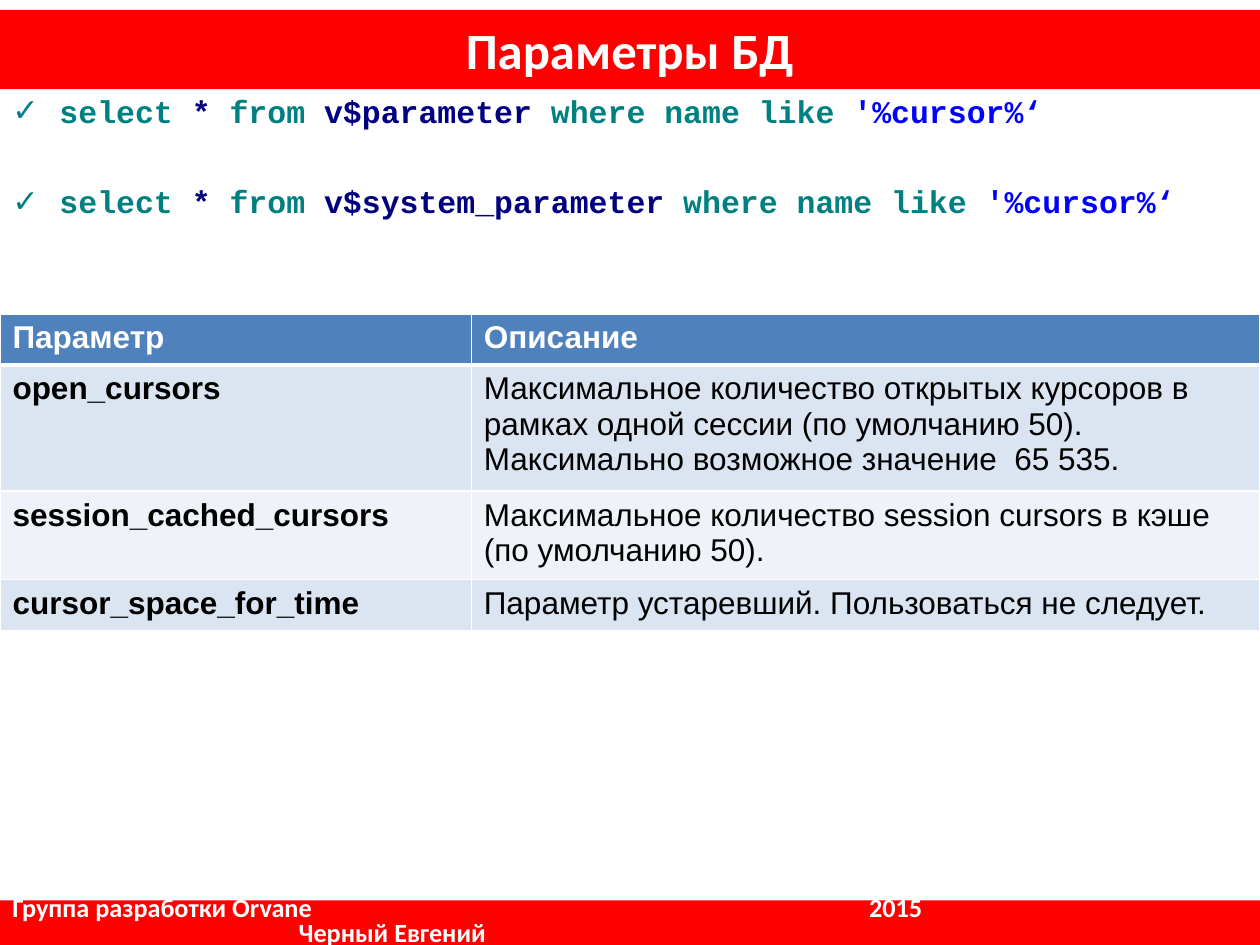
from lxml.etree import SubElement
from pptx import Presentation
from pptx.dml.color import RGBColor
from pptx.enum.shapes import MSO_SHAPE
from pptx.enum.text import MSO_ANCHOR, MSO_AUTO_SIZE, PP_ALIGN
from pptx.oxml.ns import qn
from pptx.util import Cm, Pt

RED = RGBColor(0xFF, 0x00, 0x00)
WHITE = RGBColor(0xFF, 0xFF, 0xFF)
BLACK = RGBColor(0x00, 0x00, 0x00)
TEAL = RGBColor(0x00, 0x80, 0x80)
NAVY = RGBColor(0x00, 0x00, 0x80)
BLUE = RGBColor(0x00, 0x00, 0xFF)
HEADER = RGBColor(0x4F, 0x81, 0xBD)
BAND_DARK = RGBColor(0xDB, 0xE5, 0xF1)
BAND_LIGHT = RGBColor(0xEF, 0xF3, 0xF9)

WIDTH = 25.4
VIEWS = ["v$parameter", "v$system_parameter"]
PARAMETERS = [
    ("Параметр", "Описание"),
    ("open_cursors", "Максимальное количество открытых курсоров в рамках одной сессии "
                     "(по умолчанию 50). Максимально возможное значение  65 535."),
    ("session_cached_cursors", "Максимальное количество session cursors в кэше (по умолчанию 50)."),
    ("cursor_space_for_time", "Параметр устаревший. Пользоваться не следует."),
]
COLUMN_WIDTHS = [9.5, 15.9]
ROW_HEIGHTS = [1.03, 2.38, 1.67, 1.03]


class SlideBuilder:
    """Holds the style and the current slide and adds each kind of element."""

    def __init__(self, slide, heading_font="Calibri", table_font="Arial", code_font="Courier New"):
        self.slide = slide
        self.heading_font = heading_font
        self.table_font = table_font
        self.code_font = code_font

    def place(self, shape, left, top, width, height):
        shape.left, shape.top, shape.width, shape.height = map(Cm, (left, top, width, height))

    def run(self, paragraph, text, font, size, color, bold=True):
        run = paragraph.add_run()
        run.text = text
        run.font.name = font
        run.font.size = Pt(size)
        run.font.bold = bold
        run.font.color.rgb = color

    def title(self, text, top, height):
        title = self.slide.shapes.title
        self.place(title, 0, top, WIDTH, height)
        title.fill.solid()
        title.fill.fore_color.rgb = RED
        frame = title.text_frame
        frame.auto_size = MSO_AUTO_SIZE.NONE
        frame.vertical_anchor = MSO_ANCHOR.MIDDLE
        frame.paragraphs[0].alignment = PP_ALIGN.CENTER
        self.run(frame.paragraphs[0], text, self.heading_font, 29, WHITE)

    def queries(self, views, top, height):
        box = self.slide.shapes.add_textbox(Cm(0), Cm(top), Cm(WIDTH), Cm(height))
        frame = box.text_frame
        frame.word_wrap = True
        for index, view in enumerate(views):
            paragraph = frame.add_paragraph() if index else frame.paragraphs[0]
            paragraph.space_before = Pt(30 if index else 0)
            self.check_bullet(paragraph)
            for text, color in [("select", TEAL), (" * ", NAVY), ("from", TEAL), (f" {view} ", NAVY),
                                ("where name like ", TEAL), ("'%cursor%‘", BLUE)]:
                self.run(paragraph, text, self.code_font, 18, color)

    def check_bullet(self, paragraph):
        properties = paragraph._p.get_or_add_pPr()
        properties.set("marL", str(Cm(0.95)))
        properties.set("indent", str(Cm(-0.95)))
        bullet_color = SubElement(properties, qn("a:buClr"))
        SubElement(bullet_color, qn("a:srgbClr"), val=str(TEAL))
        SubElement(properties, qn("a:buFont"), typeface=self.table_font)
        SubElement(properties, qn("a:buChar"), char="✓")

    def table(self, rows, top):
        table = self.slide.shapes.add_table(
            len(rows), len(COLUMN_WIDTHS), Cm(0), Cm(top), Cm(WIDTH), Cm(sum(ROW_HEIGHTS))).table
        for column, width in zip(table.columns, COLUMN_WIDTHS):
            column.width = Cm(width)
        for row, height in zip(table.rows, ROW_HEIGHTS):
            row.height = Cm(height)
        for row_index, texts in enumerate(rows):
            is_header = row_index == 0
            band = HEADER if is_header else BAND_DARK if row_index % 2 else BAND_LIGHT
            for column_index, text in enumerate(texts):
                cell = table.cell(row_index, column_index)
                self.borders(cell, top=3 if row_index == 1 else 1, bottom=3 if is_header else 1)
                cell.fill.solid()
                cell.fill.fore_color.rgb = band
                self.run(cell.text_frame.paragraphs[0], text, self.table_font, 18,
                         WHITE if is_header else BLACK, bold=is_header or column_index == 0)

    def borders(self, cell, top, bottom):
        properties = cell._tc.get_or_add_tcPr()
        for side, points in [("lnL", 1), ("lnR", 1), ("lnT", top), ("lnB", bottom)]:
            line = SubElement(properties, qn(f"a:{side}"), w=str(Pt(points)))
            fill = SubElement(line, qn("a:solidFill"))
            SubElement(fill, qn("a:srgbClr"), val=str(WHITE))

    def footer(self, group, year, author, top, height):
        bar = self.slide.shapes.add_shape(MSO_SHAPE.RECTANGLE, Cm(0), Cm(top), Cm(WIDTH), Cm(height))
        bar.shadow.inherit = False
        bar.fill.solid()
        bar.fill.fore_color.rgb = RED
        bar.line.fill.background()
        frame = bar.text_frame
        frame.word_wrap = True
        frame.vertical_anchor = MSO_ANCHOR.MIDDLE
        first, second = frame.paragraphs[0], frame.add_paragraph()
        for paragraph, text in [(first, f"{group}\t{year}"), (second, author)]:
            paragraph.alignment = PP_ALIGN.LEFT
            paragraph.line_spacing = 0.8
            self.run(paragraph, text, self.heading_font, 15, WHITE)
        tabs = SubElement(first._p.get_or_add_pPr(), qn("a:tabLst"))
        SubElement(tabs, qn("a:tab"), pos=str(Cm(17.27)), algn="l")
        second._p.get_or_add_pPr().set("marL", str(Cm(5.77)))


def main():
    presentation = Presentation()
    presentation.slide_width, presentation.slide_height = Cm(WIDTH), Cm(19.05)
    builder = SlideBuilder(presentation.slides.add_slide(presentation.slide_layouts[5]))
    builder.title("Параметры БД", top=0.2, height=1.6)
    builder.queries(VIEWS, top=1.73, height=16.43)
    builder.footer("Группа разработки Orvane", "2015", "Черный Евгений", top=18.15, height=0.9)
    builder.table(PARAMETERS, top=6.33)
    presentation.save("out.pptx")


if __name__ == "__main__":
    main()
